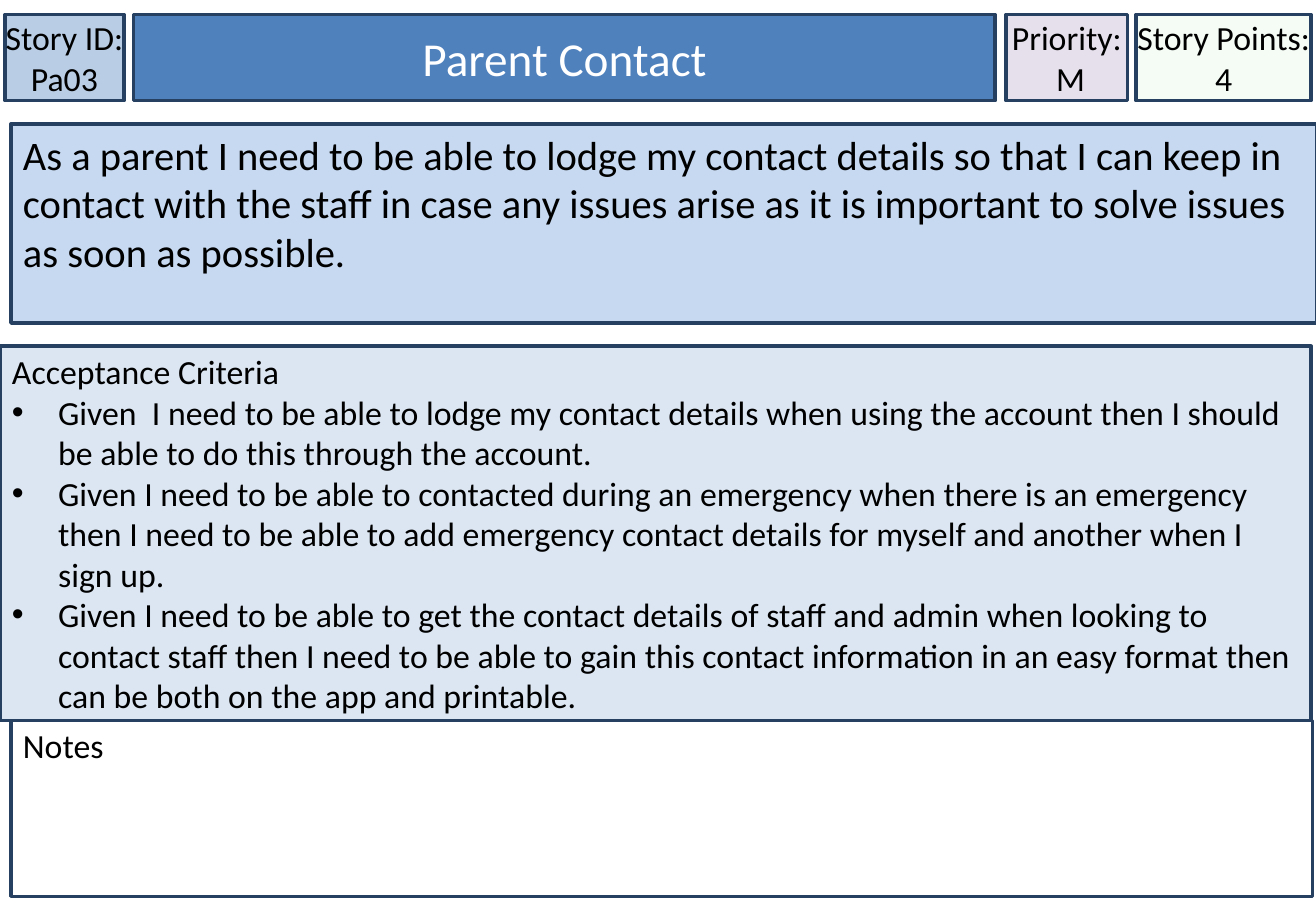
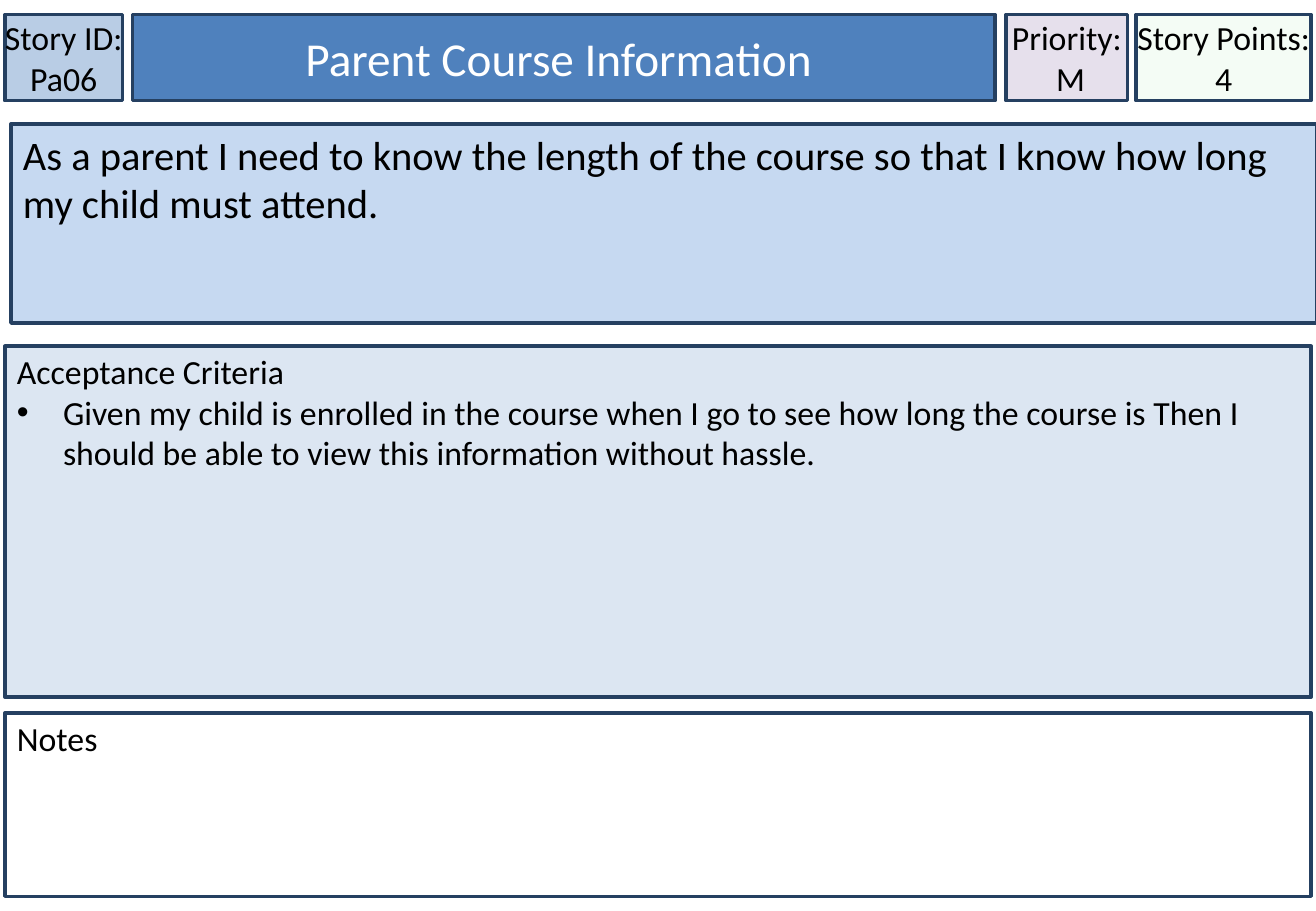
import pptx
import pptx.dml.color
import pptx.enum.shapes
import pptx.enum.text
import pptx.oxml.ns
import pptx.util
from lxml import etree

Inches = pptx.util.Inches
Pt = pptx.util.Pt
Anchor = pptx.enum.text.MSO_ANCHOR
Align = pptx.enum.text.PP_ALIGN

THEME = {
    "font": "Calibri",
    "outline": "254061",
    "outline_width": 2,
    "text": "000000",
    "title_text": "FFFFFF",
    "title_size": 28,
    "story_size": 24,
    "body_size": 20,
    "story_id": "B9CDE5",
    "title": "4F81BD",
    "story": "C6D9F1",
    "criteria": "DCE6F2",
    "points": "CCF0CD",
    "points_opacity": 20,
    "priority": "E6E0EC",
    "notes": "FFFFFF",
}

HEADER_TOP, HEADER_HEIGHT = 0.12, 0.71
BULLET_INDENT = 0.38

BADGE = {"margin_left": 0, "margin_right": 0, "vertical_anchor": Anchor.MIDDLE}
HEADING = {"vertical_anchor": Anchor.MIDDLE}
STORY = {"vertical_anchor": Anchor.TOP}
PANEL = {"vertical_anchor": Anchor.TOP, "margin_top": Inches(0.04)}

CARDS = [
    {
        "story_id": "Pa03",
        "title": "Parent Contact",
        "story": "As a parent I need to be able to lodge my contact details so that I can keep in contact with the staff in case any issues arise as it is important to solve issues as soon as possible.",
        "criteria": [
            "Given  I need to be able to lodge my contact details when using the account then I should be able to do this through the account.",
            "Given I need to be able to contacted during an emergency when there is an emergency then I need to be able to add emergency contact details for myself and another when I sign up.",
            "Given I need to be able to get the contact details of staff and admin when looking to contact staff then I need to be able to gain this contact information in an easy format then can be both on the app and printable.",
        ],
        "story_id_width": 0.98,
        "title_left": 1.1,
        "criteria_box": (0, 2.85, 10.79, 3.08),
        "notes_box": (0.09, 5.93, 10.71, 1.45),
    },
    {
        "story_id": "Pa06",
        "title": "Parent Course Information ",
        "story": "As a parent I need to know the length of the course so that I know how long my child must attend.",
        "criteria": [
            "Given my child is enrolled in the course when I go to see how long the course is Then I should be able to view this information without hassle.",
        ],
        "story_id_width": 0.97,
        "title_left": 1.09,
        "criteria_box": (0.04, 2.85, 10.75, 2.89),
        "notes_box": (0.04, 5.87, 10.75, 1.51),
    },
]


def add_bullet(paragraph):
    properties = paragraph._p.get_or_add_pPr()
    properties.set("marL", str(Inches(BULLET_INDENT)))
    properties.set("indent", str(-Inches(BULLET_INDENT)))
    font = etree.SubElement(properties, pptx.oxml.ns.qn("a:buFont"))
    font.set("typeface", "Arial")
    character = etree.SubElement(properties, pptx.oxml.ns.qn("a:buChar"))
    character.set("char", "•")


def add_box(slide, box, fill, lines, frame_format, size="body_size",
            color="text", alignment=Align.LEFT, bullets_from=None):
    shape = slide.shapes.add_shape(
        pptx.enum.shapes.MSO_SHAPE.RECTANGLE, *[Inches(length) for length in box])
    shape.shadow.inherit = False
    shape.fill.solid()
    shape.fill.fore_color.rgb = pptx.dml.color.RGBColor.from_string(THEME[fill])
    shape.line.color.rgb = pptx.dml.color.RGBColor.from_string(THEME["outline"])
    shape.line.width = Pt(THEME["outline_width"])
    frame = shape.text_frame
    for name, value in {"word_wrap": True, **frame_format}.items():
        setattr(frame, name, value)
    for index, line in enumerate(lines):
        paragraph = frame.paragraphs[0] if index == 0 else frame.add_paragraph()
        paragraph.text = line
        paragraph.alignment = alignment
        if bullets_from is not None and index >= bullets_from:
            add_bullet(paragraph)
        for name, value in {"name": THEME["font"], "size": Pt(THEME[size])}.items():
            setattr(paragraph.font, name, value)
        paragraph.font.color.rgb = pptx.dml.color.RGBColor.from_string(THEME[color])
    return shape


presentation = pptx.Presentation()
presentation.slide_width = Inches(10.83)
presentation.slide_height = Inches(7.5)

for card in CARDS:
    slide = presentation.slides.add_slide(presentation.slide_layouts[6])
    title_left = card["title_left"]

    add_box(slide, (0.04, HEADER_TOP, card["story_id_width"], HEADER_HEIGHT), "story_id",
            ["Story ID: " + card["story_id"]], BADGE, alignment=Align.CENTER)
    add_box(slide, (title_left, HEADER_TOP, 8.19 - title_left, HEADER_HEIGHT), "title",
            [card["title"]], HEADING, "title_size", "title_text", Align.CENTER)
    add_box(slide, (0.09, 1.02, 10.75, 1.64), "story", [card["story"]], STORY, "story_size")
    add_box(slide, card["criteria_box"], "criteria",
            ["Acceptance Criteria", *card["criteria"]], PANEL, bullets_from=1)

    points = add_box(slide, (9.35, HEADER_TOP, 1.44, HEADER_HEIGHT), "points",
                     ["Story Points: 4"], BADGE, alignment=Align.CENTER)
    points_color = points.fill._xPr.find(".//" + pptx.oxml.ns.qn("a:srgbClr"))
    opacity = etree.SubElement(points_color, pptx.oxml.ns.qn("a:alpha"))
    opacity.set("val", str(THEME["points_opacity"] * 1000))

    add_box(slide, (8.28, HEADER_TOP, 1, HEADER_HEIGHT), "priority", ["Priority:", " M"],
            {**BADGE, "word_wrap": False}, alignment=Align.CENTER)
    add_box(slide, card["notes_box"], "notes", ["Notes"], PANEL)

presentation.save("out.pptx")
